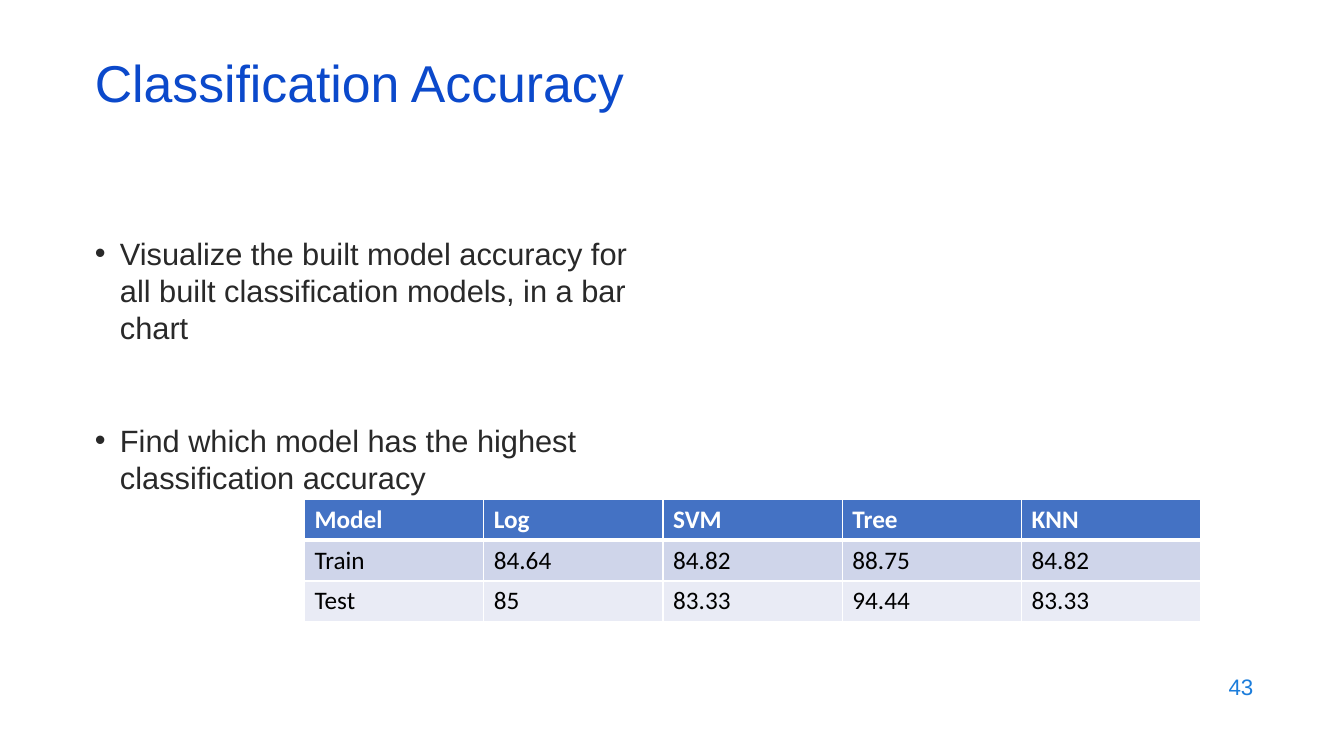
from lxml import etree
from pptx import Presentation
from pptx import util as u
from pptx.dml.color import RGBColor
from pptx.enum import text
from pptx.oxml import ns

ACCURACY = [
    ["Model", "Log", "SVM", "Tree", "KNN"],
    ["Train", "84.64", "84.82", "88.75", "84.82"],
    ["Test", "85", "83.33", "94.44", "83.33"],
]
TASKS = [
    "Visualize the built model accuracy for all built classification models, in a bar chart",
    "Find which model has the highest classification accuracy",
]
ROW_FILLS = ["4472C4", "CFD5EA", "E9EBF5"]


def colour(value):
    """Turn a hex string into a colour."""
    return RGBColor.from_string(value)


class SlideBuilder:
    """Hold the style and the current slide; areas are percent shares of the slide."""

    heading_font = "Arial"
    table_font = "Calibri"

    def __init__(self, deck, layout):
        """Add a page to the deck."""
        self.deck = deck
        self.page = deck.slides.add_slide(layout)

    def area(self, left, top, width, height):
        """Convert percent shares of the slide to lengths."""
        across, down = self.deck.slide_width / 100, self.deck.slide_height / 100
        return int(left * across), int(top * down), int(width * across), int(height * down)

    def place(self, box, area, anchor):
        """Move a box and set how its text sits."""
        box.left, box.top, box.width, box.height = self.area(*area)
        frame = box.text_frame
        frame.word_wrap = True
        frame.auto_size = text.MSO_AUTO_SIZE.NONE
        frame.vertical_anchor = anchor

    def format(self, paragraph, size, shade, font=heading_font, bold=False):
        """Format every run of a paragraph."""
        for span in paragraph.runs:
            span.font.name = font
            span.font.size = u.Pt(size)
            span.font.bold = bold
            span.font.color.rgb = colour(shade)

    def title(self, words, area):
        """Fill the title placeholder."""
        box = self.page.shapes.title
        self.place(box, area, text.MSO_ANCHOR.MIDDLE)
        box.text_frame.text = words
        paragraph = box.text_frame.paragraphs[0]
        paragraph.alignment = text.PP_ALIGN.LEFT
        paragraph.line_spacing = 0.7
        self.format(paragraph, 37, "0B49CB")

    def bullets(self, items, area, gap):
        """Fill the body placeholder with a bulleted list."""
        box = self.page.placeholders[1]
        self.place(box, area, text.MSO_ANCHOR.TOP)
        box.text_frame.text = "\n".join(items)
        for index, paragraph in enumerate(box.text_frame.paragraphs):
            properties = paragraph._p.get_or_add_pPr()
            properties.set("marL", str(u.Inches(0.25)))
            properties.set("indent", str(-u.Inches(0.25)))
            etree.SubElement(properties, ns.qn("a:buChar"), char="•")
            paragraph.line_spacing = 1.0
            paragraph.space_before = u.Pt(gap if index else 0)
            self.format(paragraph, 22, "292929")

    def number(self, words, area):
        """Add the page number."""
        box = self.page.shapes.add_textbox(*self.area(*area))
        self.place(box, area, text.MSO_ANCHOR.MIDDLE)
        box.text_frame.text = words
        paragraph = box.text_frame.paragraphs[0]
        paragraph.alignment = text.PP_ALIGN.RIGHT
        self.format(paragraph, 16, "1C7DDB")

    def border(self, cell, side, width):
        """Draw one white edge of a cell."""
        line = etree.SubElement(cell._tc.get_or_add_tcPr(), ns.qn(f"a:ln{side}"), w=str(u.Pt(width)))
        fill = etree.SubElement(line, ns.qn("a:solidFill"))
        etree.SubElement(fill, ns.qn("a:srgbClr"), val="FFFFFF")

    def table(self, rows, fills, area):
        """Add a table with a header row and equal columns."""
        frame = self.page.shapes.add_table(len(rows), len(rows[0]), *self.area(*area))
        for row, (values, shade) in enumerate(zip(rows, fills)):
            header = row == 0
            edges = {"L": 1, "R": 1, "T": 3 if row == 1 else 1, "B": 3 if header else 1}
            for column, value in enumerate(values):
                cell = frame.table.cell(row, column)
                for side, width in edges.items():
                    self.border(cell, side, width)
                cell.fill.solid()
                cell.fill.fore_color.rgb = colour(shade)
                cell.text_frame.text = value
                ink = "FFFFFF" if header else "000000"
                self.format(cell.text_frame.paragraphs[0], 18, ink, self.table_font, header)


def main():
    """Build the slide and save it."""
    deck = Presentation()
    deck.slide_width, deck.slide_height = u.Inches(13.33), u.Inches(7.5)
    builder = SlideBuilder(deck, deck.slide_layouts[1])
    builder.number("43", (71.5, 87.87, 22.5, 5.87))
    builder.bullets(TASKS, (6.3, 30.4, 43.66, 35.2), 54)
    builder.title("Classification Accuracy", (6.3, 7.87, 86.27, 8))
    builder.table(ACCURACY, ROW_FILLS, (22.66, 66, 66.7, 16.27))
    deck.save("out.pptx")


if __name__ == "__main__":
    main()
